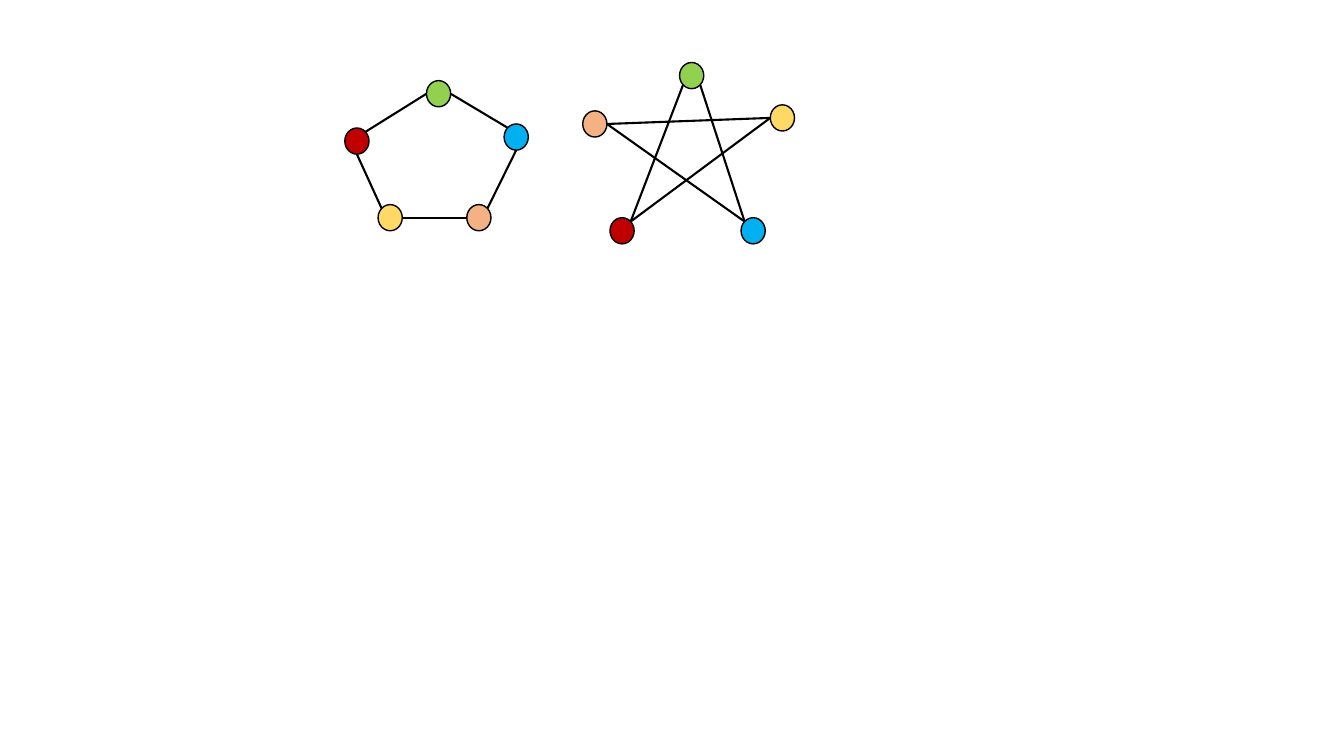
from math import cos, radians, sin

from lxml.etree import SubElement
from pptx import Presentation
from pptx.dml.color import RGBColor
from pptx.enum.shapes import MSO_CONNECTOR as Connector, MSO_SHAPE as Shape
from pptx.oxml.ns import qn
from pptx.util import Inches, Pt

COLORS = {"red": "C00000", "blue": "00B0F0", "yellow": "FFD966",
          "green": "92D050", "orange": "F4B183", "line": "000000"}
NODE_WIDTH, NODE_HEIGHT = 0.24, 0.26

# Where an edge meets a node, in degrees clockwise from the right
ANGLES = {"right": 0, "lower right": 45, "bottom": 90, "lower left": 135,
          "left": 180, "upper left": 225, "upper right": 315}

# Each graph: left and top of its nodes, then edges between node sides
GRAPHS = [
    {"nodes": {"red": (3.42, 1.27), "blue": (5, 1.23), "yellow": (3.75, 2.03),
               "green": (4.23, 0.8), "orange": (4.63, 2.03)},
     "edges": [("orange", "upper right", "blue", "bottom"),
               ("red", "bottom", "yellow", "upper left"),
               ("green", "right", "blue", "upper left"),
               ("red", "upper right", "green", "left"),
               ("yellow", "right", "orange", "left")]},
    {"nodes": {"red": (6.05, 2.16), "blue": (7.35, 2.16), "yellow": (7.64, 1.04),
               "green": (6.74, 0.62), "orange": (5.78, 1.1)},
     "edges": [("orange", "right", "blue", "upper left"),
               ("red", "upper right", "yellow", "left"),
               ("green", "lower right", "blue", "upper left"),
               ("red", "upper right", "green", "lower left"),
               ("yellow", "left", "orange", "right")]},
]


def color(name):
    return RGBColor.from_string(COLORS[name])


def style_line(line, width):
    line.color.rgb = color("line")
    line.width = Pt(width)


def add_node(page, name, left, top):
    node = page.shapes.add_shape(Shape.OVAL, Inches(left), Inches(top),
                                 Inches(NODE_WIDTH), Inches(NODE_HEIGHT))
    node.shadow.inherit = False
    node.fill.solid()
    node.fill.fore_color.rgb = color(name)
    style_line(node.line, 1)


def edge_point(corner, side):
    left, top = corner
    angle = radians(ANGLES[side])
    return (Inches(left + NODE_WIDTH / 2 * (1 + cos(angle))),
            Inches(top + NODE_HEIGHT / 2 * (1 + sin(angle))))


def add_edge(page, start, end):
    edge = page.shapes.add_connector(Connector.STRAIGHT, *start, *end)
    style_line(edge.line, 1.5)
    SubElement(edge._element.spPr, qn("a:effectLst"))


deck = Presentation()
deck.slide_width, deck.slide_height = Inches(13.33), Inches(7.5)
page = deck.slides.add_slide(deck.slide_layouts[6])

# Pentagon, then star: nodes first, edges on top
for graph in GRAPHS:
    nodes = graph["nodes"]
    for name, corner in nodes.items():
        add_node(page, name, *corner)
    for first, first_side, second, second_side in graph["edges"]:
        add_edge(page, edge_point(nodes[first], first_side),
                 edge_point(nodes[second], second_side))

deck.save("out.pptx")
